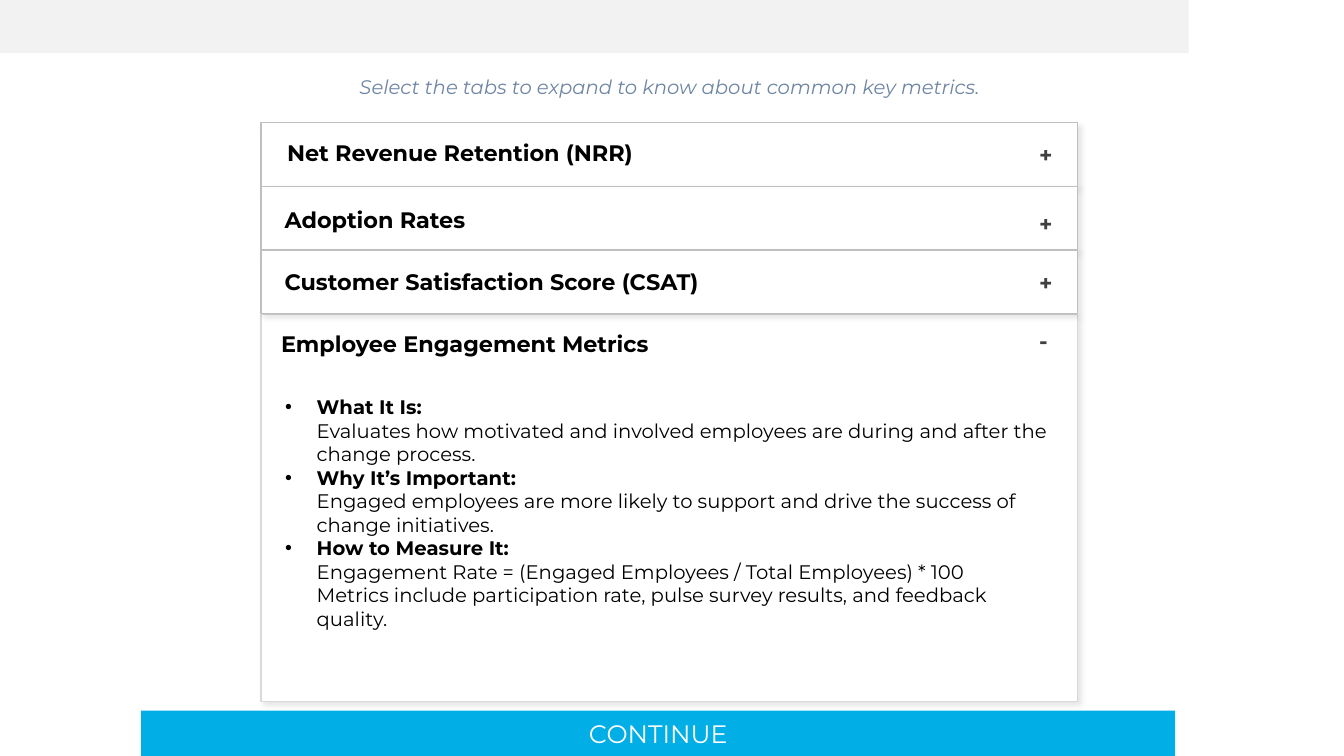
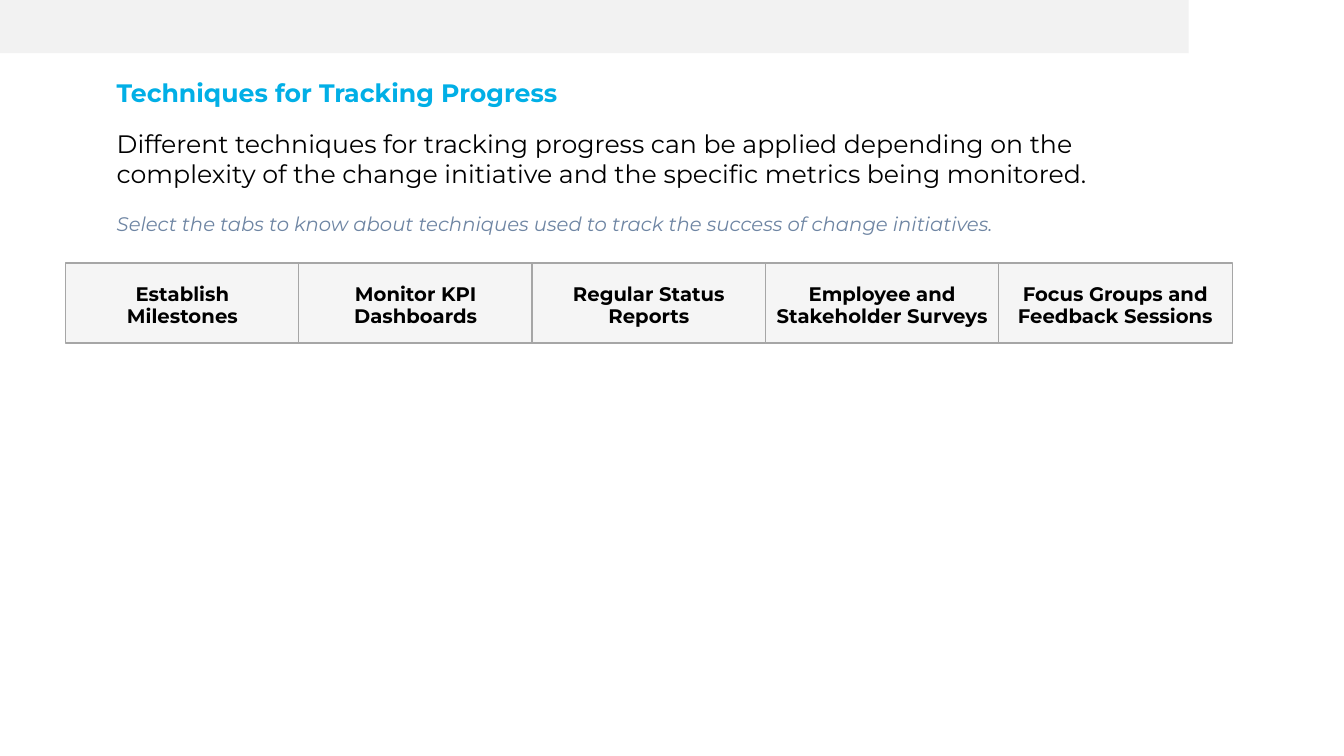
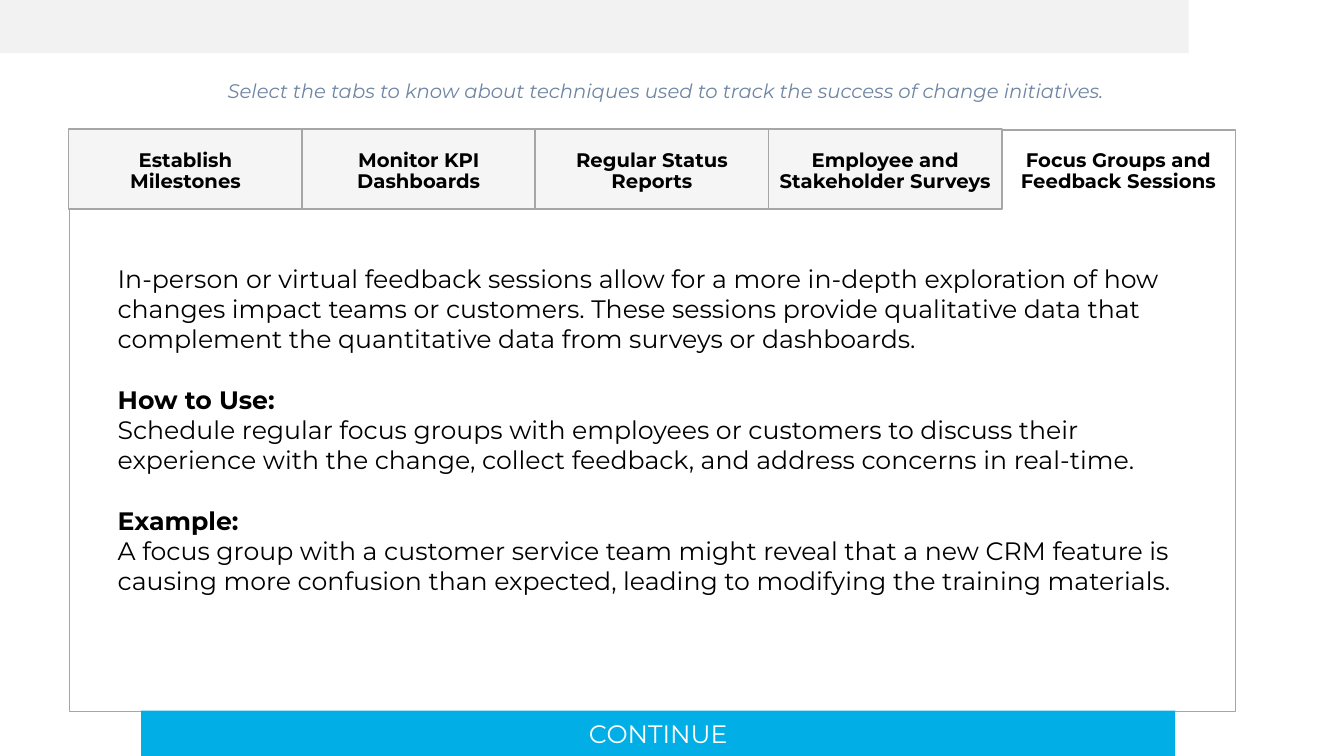
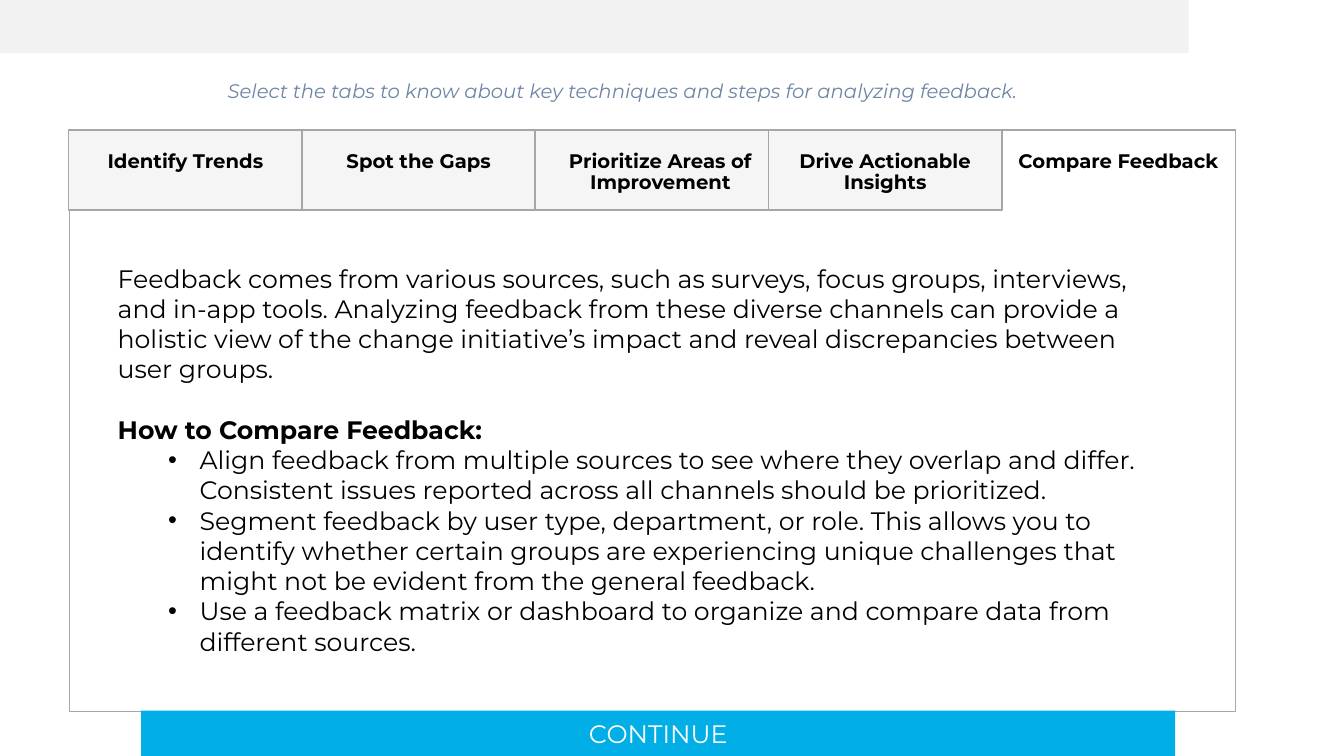
from lxml.etree import SubElement
from pptx import Presentation
from pptx.dml.color import RGBColor
from pptx.enum.shapes import MSO_SHAPE as SHAPE
from pptx.enum.text import MSO_ANCHOR as ANCHOR, PP_ALIGN as ALIGN
from pptx.oxml.ns import qn
from pptx.util import Pt

WHITE = RGBColor(0xFF, 0xFF, 0xFF)
BLACK = RGBColor(0x00, 0x00, 0x00)
CYAN = RGBColor(0x01, 0xAF, 0xE6)
SLATE = RGBColor(0x6E, 0x85, 0xA3)
CHARCOAL = RGBColor(0x40, 0x40, 0x40)
BAND_GREY = RGBColor(0xF2, 0xF2, 0xF2)
TAB_GREY = RGBColor(0xF5, 0xF5, 0xF5)
TAB_LINE = RGBColor(0xA6, 0xA6, 0xA6)
ROW_LINE = RGBColor(0xBF, 0xBF, 0xBF)
PANEL_LINE = RGBColor(0xD9, 0xD9, 0xD9)

FONT = "Montserrat"
TITLE = {"size": 18, "color": CYAN, "bold": True}
BODY = {"size": 18, "color": BLACK}
DETAIL = {"size": 14, "color": BLACK}
PROMPT = {"size": 14, "color": SLATE, "italic": True}
HEADING = {"size": 16, "color": BLACK, "bold": True}
MARK = {"size": 16, "color": CHARCOAL, "bold": True}
TAB = {"size": 14, "color": BLACK, "bold": True}
BUTTON = {"size": 18, "color": WHITE}

BLANK_LINE = 21.6
BULLET_HANG = 22.5
TAB_STEP, TAB_W, TAB_H = 166.6, 167, 57
ROW_LEFT, ROW_TOP, ROW_W, ROW_H = 186.5, 87.7, 583.2, 45.4

TECHNIQUES = ["Establish Milestones", "Monitor KPI Dashboards", "Regular Status Reports",
              "Employee and Stakeholder Surveys", "Focus Groups and Feedback Sessions"]
ANALYSIS_STEPS = ["Identify Trends", "Spot the Gaps", "Prioritize Areas of Improvement",
                  "Drive Actionable Insights", "Compare Feedback"]
TECHNIQUES_PROMPT = "Select the tabs to know about techniques used to track the success of change initiatives."


def set_font(font, fmt):
    font.name = FONT
    font.size = Pt(fmt["size"])
    font.color.rgb = fmt["color"]
    for name in ("bold", "italic"):
        setattr(font, name, fmt.get(name, False))


def add_text(p, text, fmt):
    for i, line in enumerate(text.split("\n")):
        if i:
            p.add_line_break()
            SubElement(p._p[-1], qn("a:rPr"), sz=str(fmt["size"] * 100))
        if line:
            r = p.add_run()
            r.text = line
            set_font(r.font, fmt)


def add_bullet(p, left):
    pPr = p._p.get_or_add_pPr()
    pPr.set("marL", str(Pt(left)))
    pPr.set("indent", str(-Pt(BULLET_HANG)))
    SubElement(pPr, qn("a:buFont"), typeface="Arial")
    SubElement(pPr, qn("a:buChar"), char="•")


def paragraph(head="", text="", bullet=None, before=None):
    return {"head": head, "text": text, "bullet": bullet, "before": before}


def fill_text(tf, paragraphs, fmt, align=ALIGN.LEFT, spacing=None):
    tf.word_wrap = True
    for i, item in enumerate(paragraphs):
        p = tf.add_paragraph() if i else tf.paragraphs[0]
        if item["bullet"]:
            add_bullet(p, item["bullet"])
        p.alignment = align
        if spacing:
            p.line_spacing = spacing
        if item["before"]:
            p.space_before = Pt(item["before"])
        add_text(p, item["head"], {**fmt, "bold": True})
        add_text(p, item["text"], fmt)


def add_box(s, x, y, w, h, content, fmt, **layout):
    sp = s.shapes.add_textbox(Pt(x), Pt(y), Pt(w), Pt(h))
    paragraphs = [paragraph(text=content)] if isinstance(content, str) else content
    fill_text(sp.text_frame, paragraphs, fmt, **layout)
    return sp


def add_rect(s, x, y, w, h, fill, line=None, shadow=False):
    sp = s.shapes.add_shape(SHAPE.RECTANGLE, Pt(x), Pt(y), Pt(w), Pt(h))
    sp.shadow.inherit = False
    sp.fill.solid()
    sp.fill.fore_color.rgb = fill
    if line is None:
        sp.line.fill.background()
    else:
        sp.line.color.rgb = line
        sp.line.width = Pt(1)
    if shadow:
        effects = sp._element.spPr.find(qn("a:effectLst"))
        outer = SubElement(effects, qn("a:outerShdw"), blurRad=str(Pt(4)), dist=str(Pt(3)),
                           dir="2700000", algn="tl", rotWithShape="0")
        color = SubElement(outer, qn("a:srgbClr"), val=str(BLACK))
        SubElement(color, qn("a:alpha"), val="10000")
    return sp


def new_slide(prs):
    s = prs.slides.add_slide(prs.slide_layouts[6])
    add_rect(s, 0, 0, 849, 38, BAND_GREY)
    return s


def add_continue(s):
    sp = add_rect(s, 100.8, 507.6, 738.7, 32.4, CYAN)
    sp.text_frame.vertical_anchor = ANCHOR.MIDDLE
    fill_text(sp.text_frame, [paragraph(text="CONTINUE")], BUTTON, ALIGN.CENTER)


def add_tabs(s, left, top, labels, active=None, shifts=None):
    for i, label in enumerate(labels):
        frame = (left + i * TAB_STEP, top, TAB_W, TAB_H)
        if i == active:
            sp = s.shapes.add_textbox(*map(Pt, frame))
        else:
            sp = add_rect(s, *frame, TAB_GREY, TAB_LINE)
        side = 15 if i < 3 else 4
        shift = (shifts or {}).get(i, 0)
        tf = sp.text_frame
        margins = {"margin_left": side + shift, "margin_right": side - shift,
                   "margin_top": 15.5, "margin_bottom": 0}
        for name, value in margins.items():
            setattr(tf, name, Pt(value))
        tf.vertical_anchor = ANCHOR.TOP
        fill_text(tf, [paragraph(text=label)], TAB, ALIGN.CENTER, 0.9)


def add_tab_page(prs, prompt, labels, top, body, shifts=None):
    s = new_slide(prs)
    add_rect(s, 49.7, 92.9, 833, 415.4, WHITE, TAB_LINE)
    add_box(s, 77, 184.3, 768.2, 290, body, BODY)
    add_box(s, 155.5, 52.6, 672.5, 24.5, prompt, PROMPT)
    add_tabs(s, 49, top, labels, active=len(labels) - 1, shifts=shifts)
    add_continue(s)


def metrics_slide(prs):
    s = new_slide(prs)
    add_rect(s, ROW_LEFT, 224.6, ROW_W, 276.5, WHITE, PANEL_LINE, shadow=True)
    for i in range(3):
        add_rect(s, ROW_LEFT, ROW_TOP + i * ROW_H, ROW_W, ROW_H, WHITE, ROW_LINE, shadow=True)
    add_box(s, 0, 49.7, 957, 24.5, "Select the tabs to expand to know about common key metrics.",
            PROMPT, align=ALIGN.CENTER)
    rows = [("Net Revenue Retention (NRR)", 198, 95.8, "+", 97.2),
            ("Adoption Rates", 196.2, 144, "+", 146.9),
            ("Customer Satisfaction Score (CSAT)", 196.2, 187.9, "+", 188.6),
            ("Employee Engagement Metrics", 193.7, 232.6, "-", 230.4)]
    for heading, x, y, mark, mark_y in rows:
        add_box(s, x, y, 532.8, 26.6, heading, HEADING)
        add_box(s, 735.1, mark_y, 31, 26.6, mark, MARK)
    details = [
        ("What It Is:\n", "Evaluates how motivated and involved employees are during and after "
                          "the change process."),
        ("Why It’s Important:\n", "Engaged employees are more likely to support and drive the "
                                  "success of change initiatives."),
        ("How to Measure It:\n", "Engagement Rate = (Engaged Employees / Total Employees) * 100\n"
                                 "Metrics include participation rate, pulse survey results, and "
                                 "feedback quality."),
    ]
    add_box(s, 196.6, 278.6, 564.5, 177,
            [paragraph(head, text, BULLET_HANG) for head, text in details], DETAIL)
    add_continue(s)


def techniques_slide(prs):
    s = new_slide(prs)
    add_box(s, 76.3, 54, 465, 33, "Techniques for Tracking Progress", TITLE, spacing=0.9)
    add_box(s, 76.3, 87.8, 792, 51,
            "Different techniques for tracking progress can be applied depending on the complexity "
            "of the change initiative and the specific metrics being monitored.", BODY)
    add_box(s, 76.3, 147.6, 672.5, 24.5, TECHNIQUES_PROMPT, PROMPT)
    add_tabs(s, 46.8, 188, TECHNIQUES)


def focus_groups_slide(prs):
    body = [
        paragraph(text="In-person or virtual feedback sessions allow for a more in-depth exploration "
                       "of how changes impact teams or customers. These sessions provide qualitative "
                       "data that complement the quantitative data from surveys or dashboards."),
        paragraph("How to Use:\n",
                  "Schedule regular focus groups with employees or customers to discuss their "
                  "experience with the change, collect feedback, and address concerns in real-time.",
                  before=BLANK_LINE),
        paragraph("Example:\n",
                  "A focus group with a customer service team might reveal that a new CRM feature is "
                  "causing more confusion than expected, leading to modifying the training materials.",
                  before=BLANK_LINE),
    ]
    add_tab_page(prs, TECHNIQUES_PROMPT, TECHNIQUES, 92.2, body)


def compare_feedback_slide(prs):
    steps = [
        "Align feedback from multiple sources to see where they overlap and differ. Consistent "
        "issues reported across all channels should be prioritized.",
        "Segment feedback by user type, department, or role. This allows you to identify whether "
        "certain groups are experiencing unique challenges that might not be evident from the "
        "general feedback.",
        "Use a feedback matrix or dashboard to organize and compare data from different sources.",
    ]
    body = [
        paragraph(text="Feedback comes from various sources, such as surveys, focus groups, "
                       "interviews, and in-app tools. Analyzing feedback from these diverse channels "
                       "can provide a holistic view of the change initiative’s impact and reveal "
                       "discrepancies between user groups."),
        paragraph("How to Compare Feedback:", before=BLANK_LINE),
    ] + [paragraph(text=step, bullet=58.5) for step in steps]
    add_tab_page(prs, "Select the tabs to know about key techniques and steps for analyzing feedback.",
                 ANALYSIS_STEPS, 92.9, body, shifts={2: 6})


def main():
    prs = Presentation()
    prs.slide_width, prs.slide_height = Pt(960), Pt(540)
    metrics_slide(prs)
    techniques_slide(prs)
    focus_groups_slide(prs)
    compare_feedback_slide(prs)
    prs.save("out.pptx")


if __name__ == "__main__":
    main()
